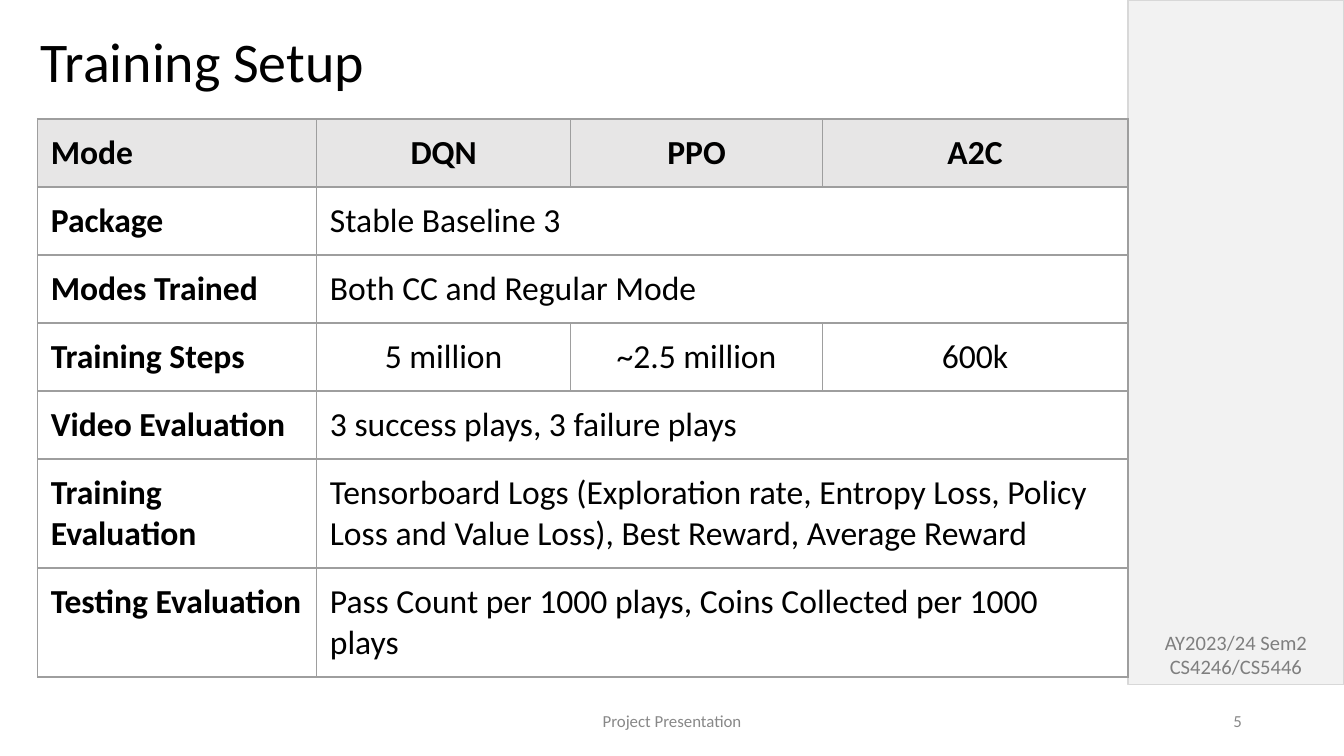
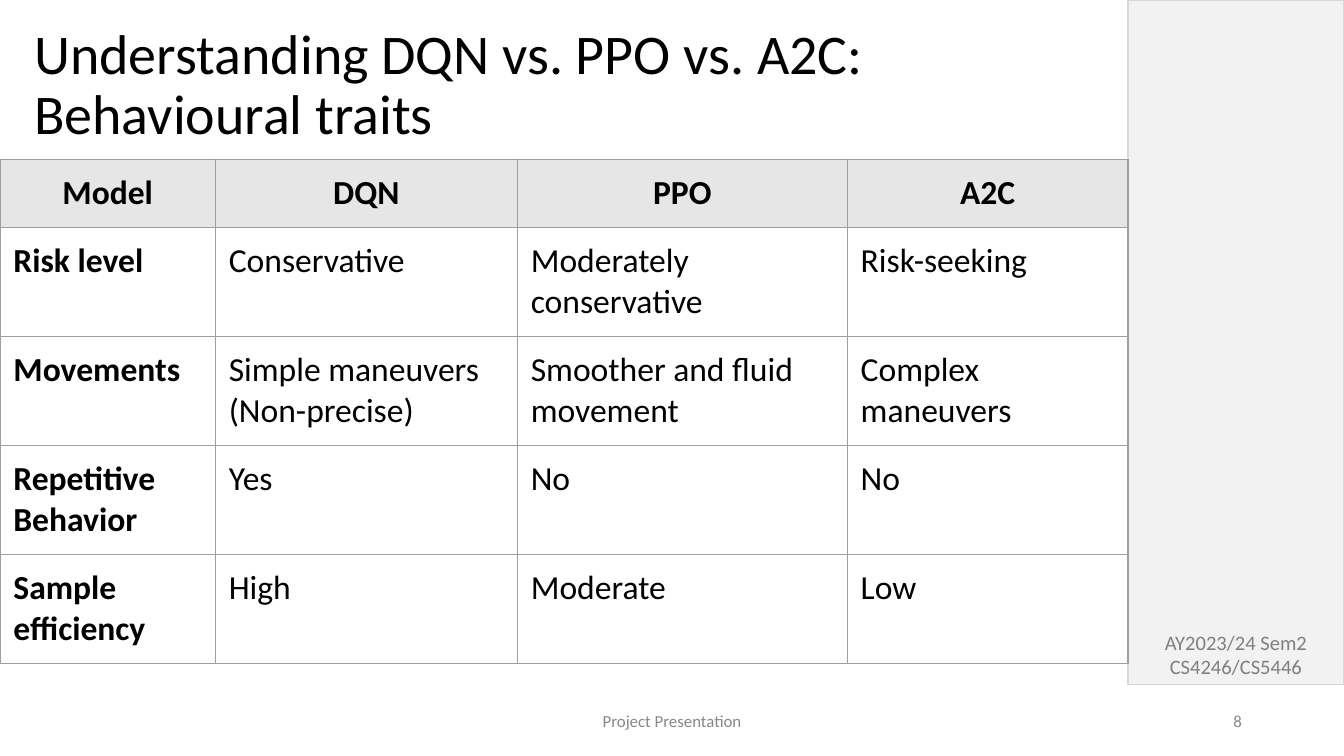
from dataclasses import dataclass

from lxml import etree
from pptx import Presentation
from pptx.dml.color import RGBColor
from pptx.enum.shapes import MSO_SHAPE
from pptx.enum.text import MSO_ANCHOR, PP_ALIGN
from pptx.oxml.ns import qn
from pptx.util import Inches, Pt


@dataclass(frozen=True)
class Theme:
    font: str = "Calibri"
    ink: str = "000000"
    band_fill: str = "F2F2F2"
    band_line: str = "D8D8D8"
    band_text: str = "7F7F7F"
    footer_text: str = "888888"
    header_fill: str = "E7E6E6"
    grid_line: str = "9E9E9E"
    title_size: int = 30
    table_size: int = 18
    band_size: int = 11
    footer_size: int = 9
    line_width: float = 0.75


@dataclass(frozen=True)
class Box:
    """A region in percent of the slide's width and height."""
    left: float
    top: float
    width: float
    height: float

    def place(self):
        return (across(self.left), down(self.top),
                across(self.width), down(self.height))


THEME = Theme()
SLIDE_WIDTH = Inches(10)
SLIDE_HEIGHT = SLIDE_WIDTH * 9 // 16
LEFT, CENTER, RIGHT = PP_ALIGN.LEFT, PP_ALIGN.CENTER, PP_ALIGN.RIGHT

BAND = Box(83.93, 0, 16.07, 90.55)
FOOTER = Box(33.1, 92.7, 33.8, 5.3)
PAGE_NUMBER = Box(70.6, 92.7, 22.5, 5.3)
ROW_HEIGHTS = {1: 9, 2: 14.42}  # by lines of text in the row
CELL_INSET = Inches(0.1)


def across(percent):
    return round(SLIDE_WIDTH * percent / 100)


def down(percent):
    return round(SLIDE_HEIGHT * percent / 100)


def write(frame, text, size, color, align=LEFT, bold=False, spacing=None):
    """Write one paragraph for each line of the text."""
    for index, line in enumerate(text.split("\n")):
        paragraph = frame.add_paragraph() if index else frame.paragraphs[0]
        paragraph.alignment = align
        if spacing:
            paragraph.line_spacing = spacing
        run = paragraph.add_run()
        run.text = line
        run.font.name = THEME.font
        run.font.size = Pt(size)
        run.font.bold = bold
        run.font.color.rgb = RGBColor.from_string(color)


def set_frame(frame, anchor):
    frame.word_wrap = True
    frame.vertical_anchor = anchor
    frame.margin_left = frame.margin_right = Inches(0.07)
    frame.margin_top = frame.margin_bottom = Inches(0.04)


def add_label(slide, box, text, size, color, **style):
    frame = slide.shapes.add_textbox(*box.place()).text_frame
    set_frame(frame, MSO_ANCHOR.MIDDLE)
    write(frame, text, size, color, **style)


def add_course_band(slide, box):
    band = slide.shapes.add_shape(MSO_SHAPE.RECTANGLE, *box.place())
    band.shadow.inherit = False
    band.fill.solid()
    band.fill.fore_color.rgb = RGBColor.from_string(THEME.band_fill)
    band.line.color.rgb = RGBColor.from_string(THEME.band_line)
    band.line.width = Pt(THEME.line_width)
    set_frame(band.text_frame, MSO_ANCHOR.BOTTOM)
    write(band.text_frame, "AY2023/24 Sem2\nCS4246/CS5446",
          THEME.band_size, THEME.band_text, CENTER)


def draw_borders(cell):
    properties = cell._tc.get_or_add_tcPr()
    for index, side in enumerate(("a:lnL", "a:lnR", "a:lnT", "a:lnB")):
        border = etree.Element(qn(side), w=str(Pt(THEME.line_width)))
        fill = etree.SubElement(border, qn("a:solidFill"))
        etree.SubElement(fill, qn("a:srgbClr"), val=THEME.grid_line)
        properties.insert(index, border)


def style_cell(cell, is_header):
    cell.margin_left = cell.margin_right = CELL_INSET
    cell.margin_top = cell.margin_bottom = CELL_INSET
    if is_header:
        cell.fill.solid()
        cell.fill.fore_color.rgb = RGBColor.from_string(THEME.header_fill)
    else:
        cell.fill.background()
    draw_borders(cell)


def add_comparison(slide, left, top, columns, row_lines, rows, centered):
    """Draw the table; a row with only two entries spans its second one.

    centered holds the (row, column) places of the centred cells.
    """
    heights = [ROW_HEIGHTS[lines] for lines in row_lines]
    box = Box(left, top, sum(columns), sum(heights))
    table = slide.shapes.add_table(
        len(rows), len(columns), *box.place()).table
    table.horz_banding = False
    for column, width in zip(table.columns, columns):
        column.width = across(width)
    for row, height in zip(table.rows, heights):
        row.height = down(height)

    for r, entries in enumerate(rows):
        for c in range(len(columns)):
            style_cell(table.cell(r, c), r == 0)
        if len(entries) == 2:
            table.cell(r, 1).merge(table.cell(r, len(columns) - 1))
        for c, entry in enumerate(entries):
            write(table.cell(r, c).text_frame, entry, THEME.table_size,
                  THEME.ink, CENTER if (r, c) in centered else LEFT,
                  bold=r == 0 or c == 0)


def add_base_slide(deck, title, title_box, number):
    slide = deck.slides.add_slide(deck.slide_layouts[6])
    add_course_band(slide, BAND)
    add_label(slide, title_box, title, THEME.title_size, THEME.ink,
              spacing=0.9)
    add_label(slide, FOOTER, "Project Presentation", THEME.footer_size,
              THEME.footer_text, align=CENTER)
    add_label(slide, PAGE_NUMBER, str(number), THEME.footer_size,
              THEME.footer_text, align=RIGHT)
    return slide


def add_training_setup(deck):
    slide = add_base_slide(deck, "Training Setup",
                           Box(2.34, -1.2, 82.1, 19.4), 5)
    rows = [
        ("Mode", "DQN", "PPO", "A2C"),
        ("Package", "Stable Baseline 3"),
        ("Modes Trained", "Both CC and Regular Mode"),
        ("Training Steps", "5 million", "~2.5 million", "600k"),
        ("Video Evaluation", "3 success plays, 3 failure plays"),
        ("Training Evaluation",
         "Tensorboard Logs (Exploration rate, Entropy Loss, Policy Loss "
         "and Value Loss), Best Reward, Average Reward"),
        ("Testing Evaluation",
         "Pass Count per 1000 plays, Coins Collected per 1000 plays"),
    ]
    centered = {(r, c) for r in (0, 3) for c in (1, 2, 3)}
    add_comparison(slide, 2.78, 15.75, (20.77, 18.93, 18.7, 22.75),
                   (1, 1, 1, 1, 1, 2, 2), rows, centered)


def add_behavioural_traits(deck):
    slide = add_base_slide(
        deck, "Understanding DQN vs. PPO vs. A2C: Behavioural traits",
        Box(1.85, 1.75, 82.1, 19.4), 8)
    rows = [
        ("Model", "DQN", "PPO", "A2C"),
        ("Risk level", "Conservative", "Moderately conservative",
         "Risk-seeking"),
        ("Movements", "Simple maneuvers (Non-precise)",
         "Smoother and fluid movement", "Complex maneuvers"),
        ("Repetitive\nBehavior", "Yes", "No", "No"),
        ("Sample efficiency", "High", "Moderate", "Low"),
    ]
    centered = {(0, c) for c in range(4)}
    add_comparison(slide, 0, 21.1, (16.03, 22.47, 24.55, 20.88),
                   (1, 2, 2, 2, 2), rows, centered)


def main():
    deck = Presentation()
    deck.slide_width, deck.slide_height = SLIDE_WIDTH, SLIDE_HEIGHT
    add_training_setup(deck)
    add_behavioural_traits(deck)
    deck.save("out.pptx")


if __name__ == "__main__":
    main()
